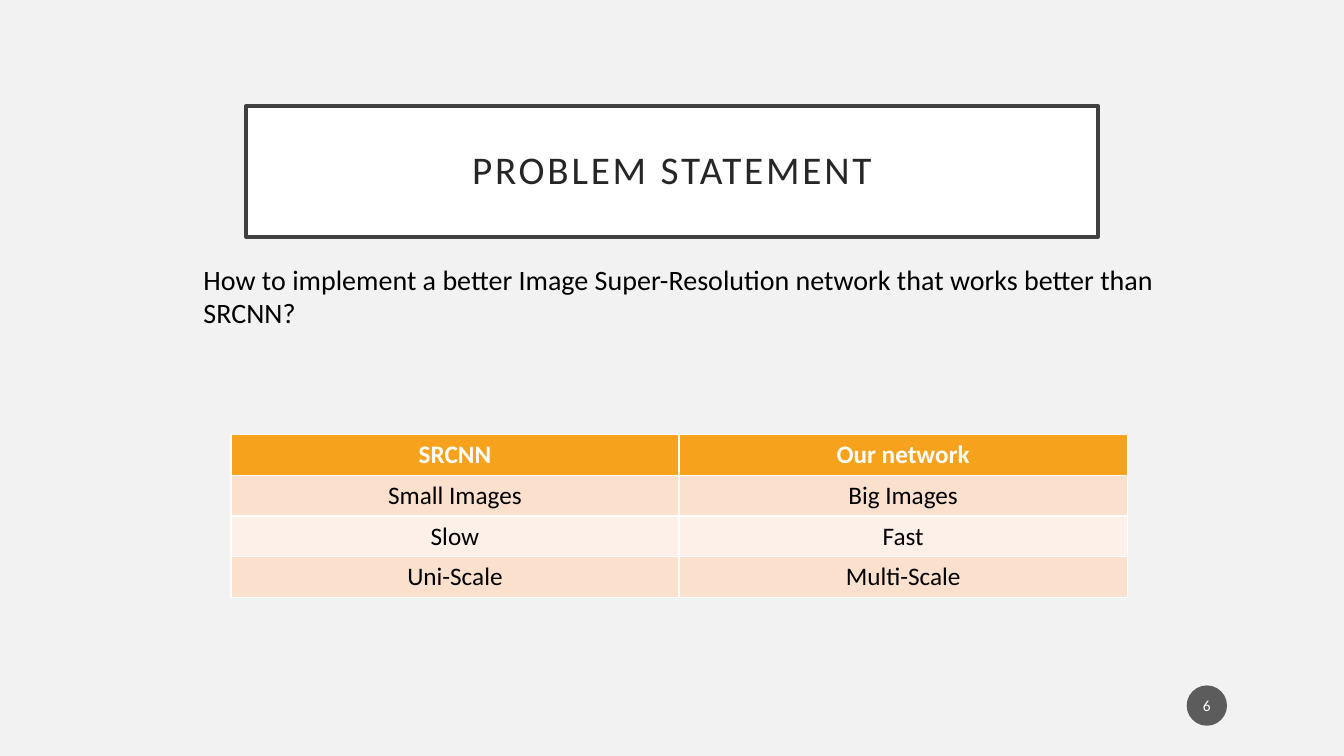
from pptx import Presentation
from pptx.dml.color import RGBColor
from pptx.enum import shapes, text
from pptx.oxml import ns
from pptx.util import Inches, Pt
from lxml import etree

BACKGROUND = RGBColor(0xF2, 0xF2, 0xF2)
WHITE = RGBColor(0xFF, 0xFF, 0xFF)
BLACK = RGBColor(0x00, 0x00, 0x00)
TITLE_TEXT = RGBColor(0x26, 0x26, 0x26)
TITLE_LINE = RGBColor(0x40, 0x40, 0x40)
BADGE = RGBColor(0x1D, 0x1D, 0x1D)
ORANGE = RGBColor(0xF6, 0xA2, 0x1D)
PEACH = RGBColor(0xFB, 0xE0, 0xCD)
LIGHT_PEACH = RGBColor(0xFD, 0xF0, 0xE8)


def write(frame, words, size, color, align=text.PP_ALIGN.CENTER, bold=False,
          anchor=text.MSO_ANCHOR.MIDDLE, line_spacing=None, tracking=None):
    frame.word_wrap = True
    frame.vertical_anchor = anchor
    para = frame.paragraphs[0]
    para.alignment = align
    para.line_spacing = line_spacing
    span = para.add_run()
    span.text = words
    span.font.name = "Calibri"
    span.font.size = Pt(size)
    span.font.bold = bold
    span.font.color.rgb = color
    if tracking:
        span._r.get_or_add_rPr().set("spc", str(tracking * 100))


deck = Presentation()
deck.slide_width, deck.slide_height = Inches(13.33), Inches(7.5)
page = deck.slides.add_slide(deck.slide_layouts[5])
page.background.fill.solid()
page.background.fill.fore_color.rgb = BACKGROUND

# Framed title
title = page.shapes.title
title.left, title.top = Inches(2.44), Inches(1.05)
title.width, title.height = Inches(8.45), Inches(1.3)
title.fill.solid()
title.fill.fore_color.rgb = WHITE
title.line.color.rgb = TITLE_LINE
title.line.width = Pt(2.5)
frame = title.text_frame
frame.auto_size = text.MSO_AUTO_SIZE.NONE
frame.margin_left = frame.margin_right = Inches(0.2)
frame.margin_top = frame.margin_bottom = Inches(0.2)
write(frame, "PROBLEM STATEMENT", 28, TITLE_TEXT, line_spacing=0.9, tracking=2)

# Page number badge, 70 % opaque
badge = page.shapes.add_shape(shapes.MSO_SHAPE.OVAL, Inches(11.77), Inches(6.8),
                              Inches(0.4), Inches(0.4))
badge.shadow.inherit = False
badge.fill.solid()
badge.fill.fore_color.rgb = BADGE
fill_color = badge.fill._xPr.find(".//" + ns.qn("a:srgbClr"))
etree.SubElement(fill_color, ns.qn("a:alpha"), val="70000")
badge.line.fill.background()
badge.text_frame.margin_left = badge.text_frame.margin_right = Inches(0.02)
write(badge.text_frame, "6", 11, WHITE)

# Question
question = page.shapes.add_textbox(Inches(1.92), Inches(2.55), Inches(10.2), Inches(1.08))
write(question.text_frame,
      "How to implement a better Image Super-Resolution network that works better than SRCNN?",
      20, BLACK, align=text.PP_ALIGN.LEFT, anchor=text.MSO_ANCHOR.TOP)

# Comparison table; its default style supplies the white rules
rows = [
    ("SRCNN", "Our network"),
    ("Small Images", "Big Images"),
    ("Slow", "Fast"),
    ("Uni-Scale", "Multi-Scale"),
]
table = page.shapes.add_table(len(rows), 2, Inches(2.29), Inches(4.31),
                              Inches(8.89), Inches(1.62)).table
for row, labels in enumerate(rows):
    header = row == 0
    for column, label in enumerate(labels):
        cell = table.cell(row, column)
        cell.fill.solid()
        cell.fill.fore_color.rgb = ORANGE if header else (LIGHT_PEACH, PEACH)[row % 2]
        cell.vertical_anchor = text.MSO_ANCHOR.TOP
        write(cell.text_frame, label, 18, WHITE if header else BLACK, bold=header,
              anchor=text.MSO_ANCHOR.TOP)

deck.save("out.pptx")
